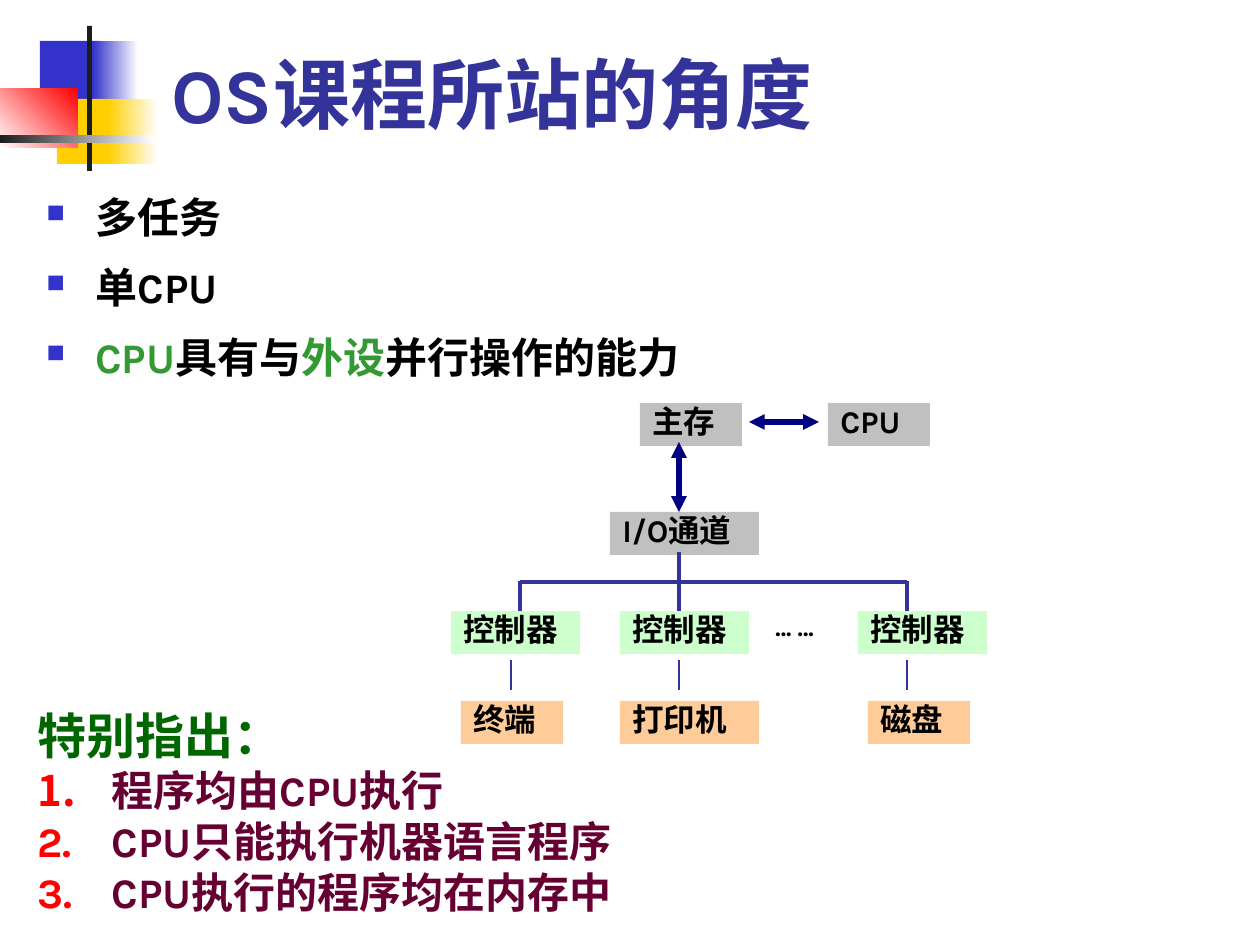
"""Build the slide on the viewpoint taken by the OS course."""
from lxml.etree import SubElement
from pptx import Presentation
from pptx.dml.color import RGBColor
from pptx.enum.shapes import MSO_CONNECTOR, MSO_SHAPE
from pptx.enum.text import MSO_ANCHOR, PP_ALIGN
from pptx.oxml.ns import qn
from pptx.util import Pt

PX = 914400 / 126
FONT = "Karla"
WHITE = RGBColor(0xFF, 0xFF, 0xFF)
BLACK = RGBColor(0, 0, 0)
INK = RGBColor(0x1C, 0x1C, 0x1C)
BLUE = RGBColor(0x33, 0x33, 0xCC)
GOLD = RGBColor(0xFF, 0xCF, 0x01)
RED = RGBColor(0xFF, 0, 0)
INDIGO = RGBColor(0x33, 0x33, 0x99)
NAVY = RGBColor(0, 0, 0x80)
GREEN = RGBColor(0x33, 0x99, 0x33)
FOREST = RGBColor(0, 0x66, 0)
PLUM = RGBColor(0x66, 0, 0x33)
GREY = RGBColor(0xC0, 0xC0, 0xC0)
MINT = RGBColor(0xCC, 0xFF, 0xCC)
PEACH = RGBColor(0xFF, 0xCC, 0x99)


def write(para, runs, size, color, indent=0, mark=None, tight=0.8):
    props = para._p.get_or_add_pPr()
    if indent:
        props.set("marL", str(round(indent * PX)))
        props.set("indent", str(round(-indent * PX)))
    if mark:
        tint = BLUE if mark == "■" else RED
        SubElement(SubElement(props, qn("a:buClr")), qn("a:srgbClr"), val=str(tint))
        if mark == "■":
            SubElement(props, qn("a:buSzPct"), val="60000")
            SubElement(props, qn("a:buChar"), char=mark)
        else:
            SubElement(props, qn("a:buFont"), typeface=FONT)
            SubElement(props, qn("a:buAutoNum"), type=mark)
    para.alignment = PP_ALIGN.LEFT
    para.line_spacing = tight
    para.font.name = FONT
    para.font.size = Pt(size)
    para.font.bold = True
    para.font.color.rgb = color
    for words, shade in runs:
        run = para.add_run()
        run.text = words
        if shade != color:
            run.font.color.rgb = shade


def place(kind, *box):
    left, top, width, height = (round(n * PX) for n in box)
    if kind == "line":
        shape = shapes.add_connector(MSO_CONNECTOR.STRAIGHT, left, top, width, height)
        SubElement(shape._element.spPr, qn("a:effectLst"))
    elif kind == "text":
        shape = shapes.add_textbox(left, top, width, height)
        shape.text_frame.word_wrap = True
    else:
        shape = shapes.add_shape(MSO_SHAPE.RECTANGLE, left, top, width, height)
        shape.shadow.inherit = False
        shape.line.fill.background()
        shape.text_frame.vertical_anchor = MSO_ANCHOR.TOP
    return shape


deck = Presentation()
deck.slide_width = round(1260 * PX)
deck.slide_height = round(945 * PX)
slide = deck.slides.add_slide(deck.slide_layouts[6])
shapes = slide.shapes

for box, start, end, angle in (
    ((40, 41, 60, 65), BLUE, None, 0),
    ((93, 41, 45, 65), BLUE, WHITE, 0),
    ((57, 99, 58, 65), GOLD, None, 0),
    ((108, 99, 50, 65), GOLD, WHITE, 0),
    ((0, 89, 78, 59), WHITE, RED, 45),
    ((87, 26, 5, 145), INK, None, 0),
    ((0, 135, 154, 8), INK, WHITE, 0),
):
    fill = place("rect", *box).fill
    if end is None:
        fill.solid()
        fill.fore_color.rgb = start
    else:
        fill.gradient()
        fill.gradient_angle = angle
        for stop, color in zip(fill.gradient_stops, (start, end)):
            stop.color.rgb = color

title = place("text", 159, 45, 1074, 100).text_frame
title.vertical_anchor = MSO_ANCHOR.BOTTOM
write(title.paragraphs[0], [("OS课程所站的角度", INDIGO)], 44, INDIGO, tight=1)

points = (
    (546, [("多任务", BLACK)]),
    (546, [("单CPU", BLACK)]),
    (794, [("CPU", GREEN), ("具有与", BLACK), ("外设", GREEN), ("并行操作的能力", BLACK)]),
)
for row, (width, runs) in enumerate(points):
    frame = place("text", 34, 195 + 70 * row, width, 59).text_frame
    write(frame.paragraphs[0], runs, 24, BLACK, 49, "■")

bus = place("line", 520, 582, 907, 582)
bus.line.color.rgb = INDIGO
bus.line.width = Pt(2.25)

for words, left, top, width, color in (
    ("主存", 640, 403, 102, GREY),
    ("CPU", 828, 403, 102, GREY),
    ("I/O通道", 610, 512, 149, GREY),
    ("控制器", 451, 611, 129, MINT),
    ("控制器", 620, 611, 129, MINT),
    ("控制器", 858, 611, 129, MINT),
    ("终端", 461, 701, 102, PEACH),
    ("打印机", 620, 701, 139, PEACH),
    ("磁盘", 868, 701, 102, PEACH),
):
    node = place("rect", left, top, width, 43)
    node.fill.solid()
    node.fill.fore_color.rgb = color
    write(node.text_frame.paragraphs[0], [(words, BLACK)], 18, BLACK)

dots = place("text", 763, 611, 73, 37).text_frame
dots.word_wrap = False
write(dots.paragraphs[0], [("… …", BLACK)], 14, BLACK)

for ends, color, weight in (
    ((749, 422, 819, 422), NAVY, 3),
    ((679, 442, 679, 512), NAVY, 3),
    ((520, 581, 520, 611), INDIGO, 2.25),
    ((679, 581, 679, 611), INDIGO, 2.25),
    ((907, 581, 907, 611), INDIGO, 2.25),
    ((679, 552, 679, 581), INDIGO, 2.25),
    ((511, 660, 511, 690), INDIGO, 1.5),
    ((679, 660, 679, 690), INDIGO, 1.5),
    ((907, 660, 907, 690), INDIGO, 1.5),
):
    link = place("line", *ends)
    link.line.color.rgb = color
    link.line.width = Pt(weight)
    if color == NAVY:
        for tip in ("a:headEnd", "a:tailEnd"):
            SubElement(link.line._get_or_add_ln(), qn(tip), type="triangle")

notes = place("text", 25, 711, 912, 213).text_frame
write(notes.paragraphs[0], [("特别指出：", FOREST)], 28, FOREST, 74)
for words in ("程序均由CPU执行", "CPU只能执行机器语言程序", "CPU执行的程序均在内存中"):
    para = notes.add_paragraph()
    write(para, [(words, PLUM)], 24, PLUM, 74, "arabicPeriod")
    para.space_before = Pt(6)

deck.save("out.pptx")
